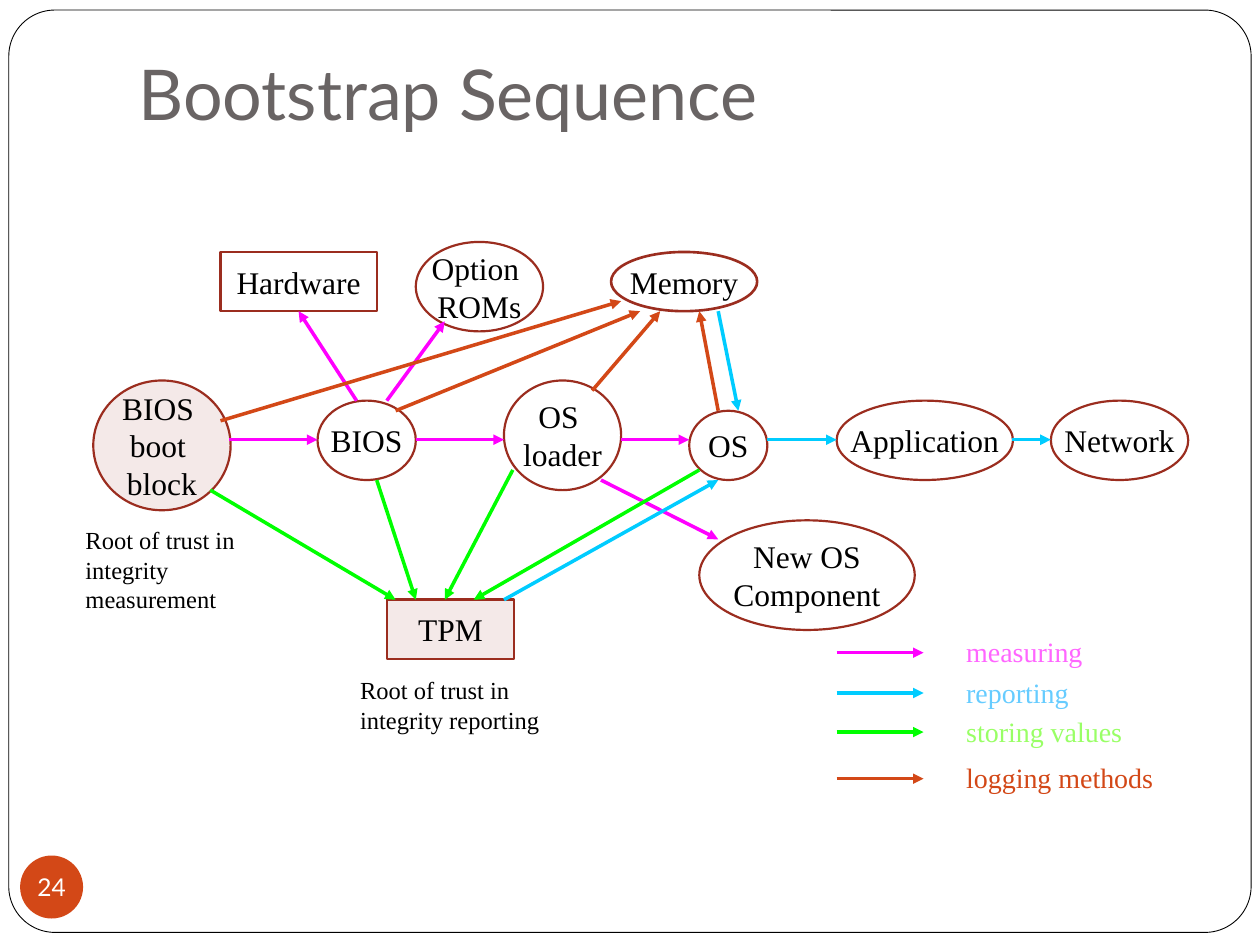
from pptx import Presentation
from pptx.dml.color import RGBColor
from pptx.enum.shapes import MSO_CONNECTOR, MSO_SHAPE
from pptx.enum.text import MSO_ANCHOR, PP_ALIGN
from pptx.oxml.ns import qn
from pptx.util import Inches, Pt
from lxml.etree import SubElement

SERIF, SANS = "Times New Roman", "Lato"
BLACK, WHITE, GREY, BRICK, ORANGE = "000000", "FFFFFF", "696464", "9B2D1F", "D34817"
MEASURE, REPORT, STORE, LOG = "FF00FF", "00CCFF", "00FF00", ORANGE
OVAL, RECT = MSO_SHAPE.OVAL, MSO_SHAPE.RECTANGLE


def color(hex_text):
    return RGBColor.from_string(hex_text)


def grid(*cells):
    """Lengths on a grid of 100 columns by 75 rows, ten cells to the inch."""
    return [Inches(cell / 10) for cell in cells]


class Diagram:
    def __init__(self, page):
        self.page = page
        self.shapes = page.shapes

    def set_text(self, shape, lines, size, ink=BLACK, font=SERIF,
                 align=PP_ALIGN.CENTER, anchor=MSO_ANCHOR.MIDDLE, wrap=False):
        frame = shape.text_frame
        frame.text = lines
        frame.word_wrap = wrap
        frame.vertical_anchor = anchor
        for para in frame.paragraphs:
            para.alignment = align
            para.font.name = font
            para.font.size = Pt(size)
            para.font.color.rgb = color(ink)
        return frame

    def title(self, text, *area):
        box = self.shapes.title
        box.left, box.top, box.width, box.height = grid(*area)
        frame = self.set_text(box, text, 40, GREY, SANS, PP_ALIGN.LEFT,
                              MSO_ANCHOR.BOTTOM, True)
        frame.margin_bottom = Inches(0.1)

    def shape(self, kind, area, fill=None, line=None, width=1.25, opacity=None):
        box = self.shapes.add_shape(kind, *grid(*area))
        box.shadow.inherit = False
        if fill:
            box.fill.solid()
            box.fill.fore_color.rgb = color(fill)
        else:
            box.fill.background()
        if opacity:
            paint = box._element.spPr.find(qn("a:solidFill"))[0]
            SubElement(paint, qn("a:alpha")).set("val", str(opacity * 1000))
        if line:
            box.line.color.rgb = color(line)
            box.line.width = Pt(width)
        else:
            box.line.fill.background()
        return box

    def border(self, *area):
        box = self.shape(MSO_SHAPE.ROUNDED_RECTANGLE, area, WHITE, BLACK, 0.5)
        box.adjustments[0] = 0.05
        self.shapes._spTree.insert(2, box._element)

    def badge(self, text, *area):
        box = self.shape(OVAL, area, ORANGE)
        frame = self.set_text(box, text, 14, WHITE, SANS)
        frame.margin_left = frame.margin_right = 0
        frame.margin_top = frame.margin_bottom = 0

    def node(self, text, kind, area, trusted=False, width=1.25):
        fill, opacity = (BRICK, 10) if trusted else (None, None)
        self.set_text(self.shape(kind, area, fill, BRICK, width, opacity), text, 18)

    def arrow(self, ink, *ends):
        link = self.shapes.add_connector(MSO_CONNECTOR.STRAIGHT, *grid(*ends))
        link.line.color.rgb = color(ink)
        link.line.width = Pt(2)
        outline = link._element.spPr.find(qn("a:ln"))
        SubElement(outline, qn("a:tailEnd")).set("type", "triangle")
        SubElement(link._element.spPr, qn("a:effectLst"))

    def label(self, text, size, ink, *area):
        box = self.shapes.add_textbox(*grid(*area))
        self.set_text(box, text, size, ink, align=PP_ALIGN.LEFT,
                      anchor=MSO_ANCHOR.TOP, wrap=True)


NODES = [  # text, shape, area, root of trust, line width
    ("BIOS \nboot \nblock", OVAL, (7.4, 30.2, 10.9, 10.3), True),
    ("BIOS", OVAL, (25.2, 31.8, 7.8, 6.3)),
    ("OS \nloader", OVAL, (40, 30.2, 9.3, 8.7)),
    ("OS", OVAL, (54.7, 32.6, 6.2, 5.5)),
    ("Application", OVAL, (66.4, 31.8, 14, 6.3)),
    ("Network", OVAL, (83.4, 31.8, 10.9, 6.3)),
    ("Option \nROMs", OVAL, (33, 19.2, 10.1, 7.1)),
    ("Hardware", RECT, (17.5, 20, 12.4, 4.7)),
    ("Memory", OVAL, (48.5, 20, 11.6, 4.7), False, 1.5),
    ("New OS\nComponent", OVAL, (55.5, 41.3, 17.1, 8.7)),
    ("TPM", RECT, (30.7, 47.6, 10.1, 4.7), True, 1.5),
]
BOOT_ROW = 34.9  # height of the arrows along the boot chain
BOOT_STEPS = [(MEASURE, 18.2, 25.2), (MEASURE, 33, 40), (MEASURE, 49.3, 54.7),
              (REPORT, 60.9, 66.4), (REPORT, 80.3, 83.4)]
ARROWS = {  # start column, start row, end column, end row
    MEASURE: [(30.7, 31.8, 35.3, 25.5), (28.3, 31.8, 23.7, 24.7),
              (47.7, 38.1, 57, 42.8)],
    REPORT: [(57, 24.7, 58.6, 32.6), (40, 47.6, 57, 38.1)],
    STORE: [(16.7, 38.9, 31.4, 47.6), (29.9, 38.1, 33, 47.6),
            (40.7, 37.3, 35.3, 47.6), (55.5, 37.3, 37.6, 47.6)],
    LOG: [(17.5, 33.4, 49.3, 23.9), (31.4, 32.6, 50.8, 24.7),
          (47, 31, 52.4, 24.7), (57, 32.6, 55.5, 24.7)],
}
LEGEND = [("measuring", MEASURE, "FF66FF", 51.8), ("reporting", REPORT, "66CCFF", 55),
          ("storing values", STORE, "99FF66", 58.1), ("logging methods", LOG, LOG, 61.8)]


def main():
    deck = Presentation()
    deck.slide_width, deck.slide_height = grid(100, 75)
    diagram = Diagram(deck.slides.add_slide(deck.slide_layouts[5]))

    # Page frame, title and number
    diagram.border(0.7, 0.8, 98.6, 73.2)
    diagram.title("Bootstrap Sequence", 10, 3, 85, 8.7)
    diagram.badge("24", 1.6, 67.9, 5, 5)

    # Components
    for node in NODES:
        diagram.node(*node)

    # Boot chain and the other arrows
    for ink, start, end in BOOT_STEPS:
        diagram.arrow(ink, start, BOOT_ROW, end, BOOT_ROW)
    for ink, routes in ARROWS.items():
        for route in routes:
            diagram.arrow(ink, *route)

    # Captions
    diagram.label("Root of trust in integrity measurement", 14, BLACK,
                  5.8, 41.2, 16.3, 7.6)
    diagram.label("Root of trust in integrity reporting", 14, BLACK,
                  27.6, 53.1, 18.6, 5.4)

    # Legend
    for text, ink, text_ink, row in LEGEND:
        diagram.arrow(ink, 66.4, row, 73.3, row)
        diagram.label(text, 16, text_ink, 75.7, row - 1.9, 20.2, 3.5)

    deck.save("out.pptx")


if __name__ == "__main__":
    main()
